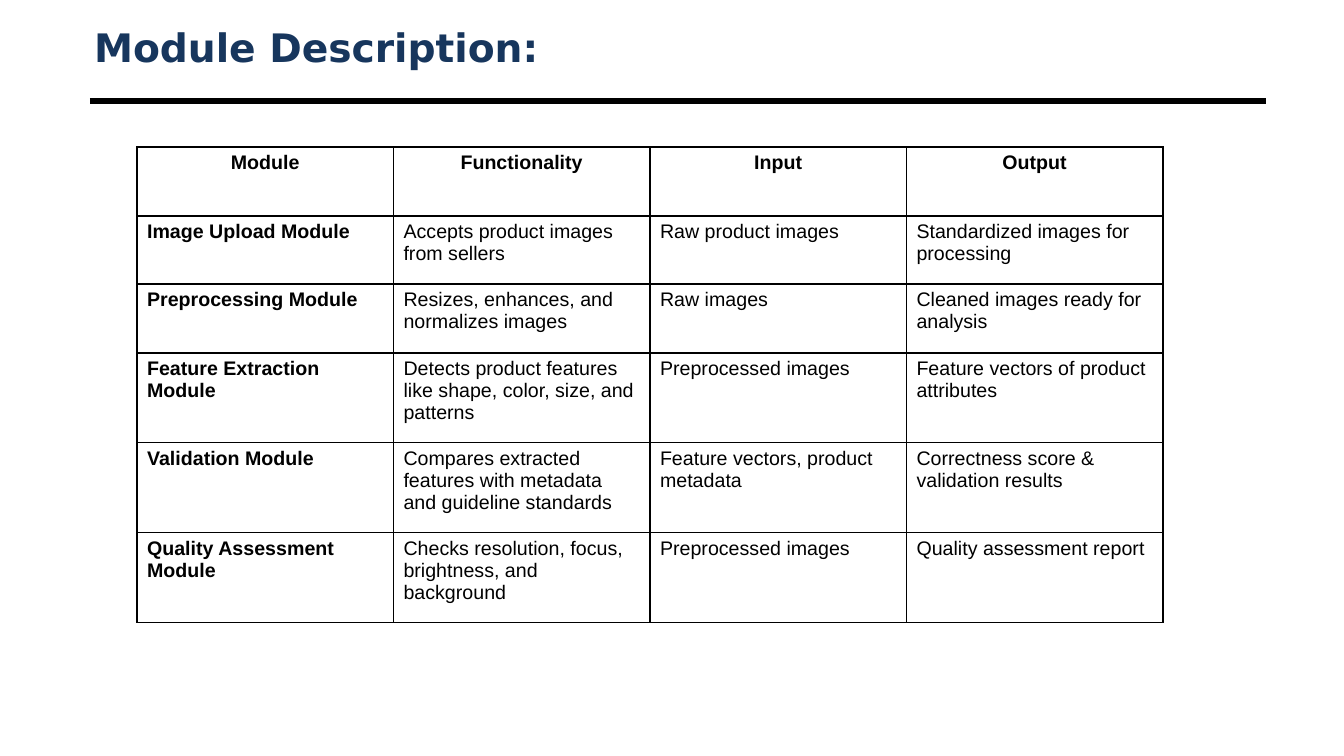
from lxml import etree
from pptx import Presentation
from pptx import util as u
from pptx.dml.color import RGBColor
from pptx.enum import shapes, text
from pptx.oxml.ns import qn

NAVY = RGBColor(0x17, 0x36, 0x5D)
BLACK = RGBColor(0, 0, 0)

EMU_PER_PX = 914400 / 100.8

TITLE_FORMAT = {"name": "DejaVu Sans", "size": u.Pt(28), "bold": True}
CELL_FORMAT = {"name": "Arial", "size": u.Pt(14)}

ROW_HEIGHTS = [69, 68, 69, 90, 90, 90]
MODULES = [
    ("Module", "Functionality", "Input", "Output"),
    ("Image Upload Module", "Accepts product images from sellers",
     "Raw product images", "Standardized images for processing"),
    ("Preprocessing Module", "Resizes, enhances, and normalizes images",
     "Raw images", "Cleaned images ready for analysis"),
    ("Feature Extraction Module",
     "Detects product features like shape, color, size, and patterns",
     "Preprocessed images", "Feature vectors of product attributes"),
    ("Validation Module",
     "Compares extracted features with metadata and guideline standards",
     "Feature vectors, product metadata",
     "Correctness score & validation results"),
    ("Quality Assessment Module",
     "Checks resolution, focus, brightness, and background",
     "Preprocessed images", "Quality assessment report"),
]


def px(length):
    return u.Emu(round(length * EMU_PER_PX))


def format_font(font, color, settings):
    for attribute, value in settings.items():
        setattr(font, attribute, value)
    font.color.rgb = color


def set_title(slide, wording, left, top, width, height):
    heading = slide.shapes.title
    place = {"left": left, "top": top, "width": width, "height": height}
    for side, length in place.items():
        setattr(heading, side, px(length))
    frame = heading.text_frame
    frame.text = wording
    frame.vertical_anchor = text.MSO_ANCHOR.MIDDLE
    frame.auto_size = text.MSO_AUTO_SIZE.NONE
    line = frame.paragraphs[0]
    line.alignment = text.PP_ALIGN.LEFT
    format_font(line.runs[0].font, NAVY, TITLE_FORMAT)


def add_rule(slide, left, right, y, weight):
    rule = slide.shapes.add_connector(
        shapes.MSO_CONNECTOR.STRAIGHT, px(left), px(y), px(right), px(y))
    rule.line.color.rgb = BLACK
    rule.line.width = u.Pt(weight)
    etree.SubElement(rule._element.spPr, qn("a:effectLst"))


def add_borders(cell, weight):
    properties = cell._tc.get_or_add_tcPr()
    # Borders must come before the cell's fill
    for position, side in enumerate(("a:lnL", "a:lnR", "a:lnT", "a:lnB")):
        border = etree.Element(qn(side), w=str(u.Pt(weight)))
        fill = etree.SubElement(border, qn("a:solidFill"))
        etree.SubElement(fill, qn("a:srgbClr"), val=str(BLACK))
        properties.insert(position, border)


def fill_cell(cell, wording, is_header, is_bold):
    cell.text = wording
    cell.fill.background()
    add_borders(cell, 1)
    line = cell.text_frame.paragraphs[0]
    line.alignment = text.PP_ALIGN.CENTER if is_header else text.PP_ALIGN.LEFT
    format_font(line.runs[0].font, BLACK, {**CELL_FORMAT, "bold": is_bold})


def add_module_table(slide, left, top, width):
    column_count = len(MODULES[0])
    grid = slide.shapes.add_table(
        len(MODULES), column_count, px(left), px(top),
        px(width), px(sum(ROW_HEIGHTS))).table
    for column in grid.columns:
        column.width = px(width / column_count)
    for row, height in zip(grid.rows, ROW_HEIGHTS):
        row.height = px(height)
    for r, module in enumerate(MODULES):
        for c, wording in enumerate(module):
            fill_cell(grid.cell(r, c), wording, r == 0, r == 0 or c == 0)


def main():
    deck = Presentation()
    deck.slide_width, deck.slide_height = px(1344), px(756)
    slide = deck.slides.add_slide(deck.slide_layouts[5])

    # Heading with the rule below it
    add_rule(slide, 90, 1266, 101, 4.5)
    set_title(slide, "Module Description:", 84, 24, 1176, 46)

    # Modules, one per row
    add_module_table(slide, 137, 147, 1026)

    deck.save("out.pptx")


if __name__ == "__main__":
    main()
